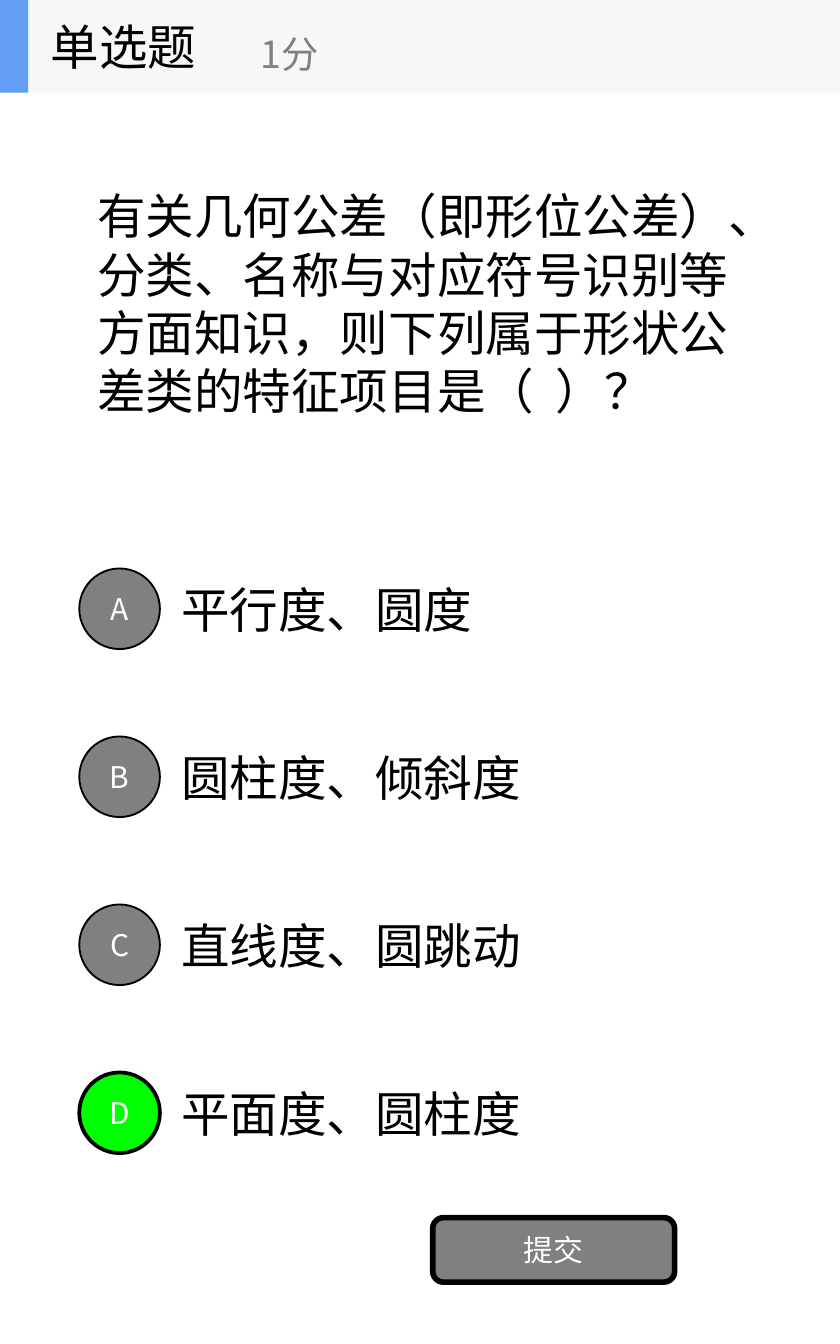
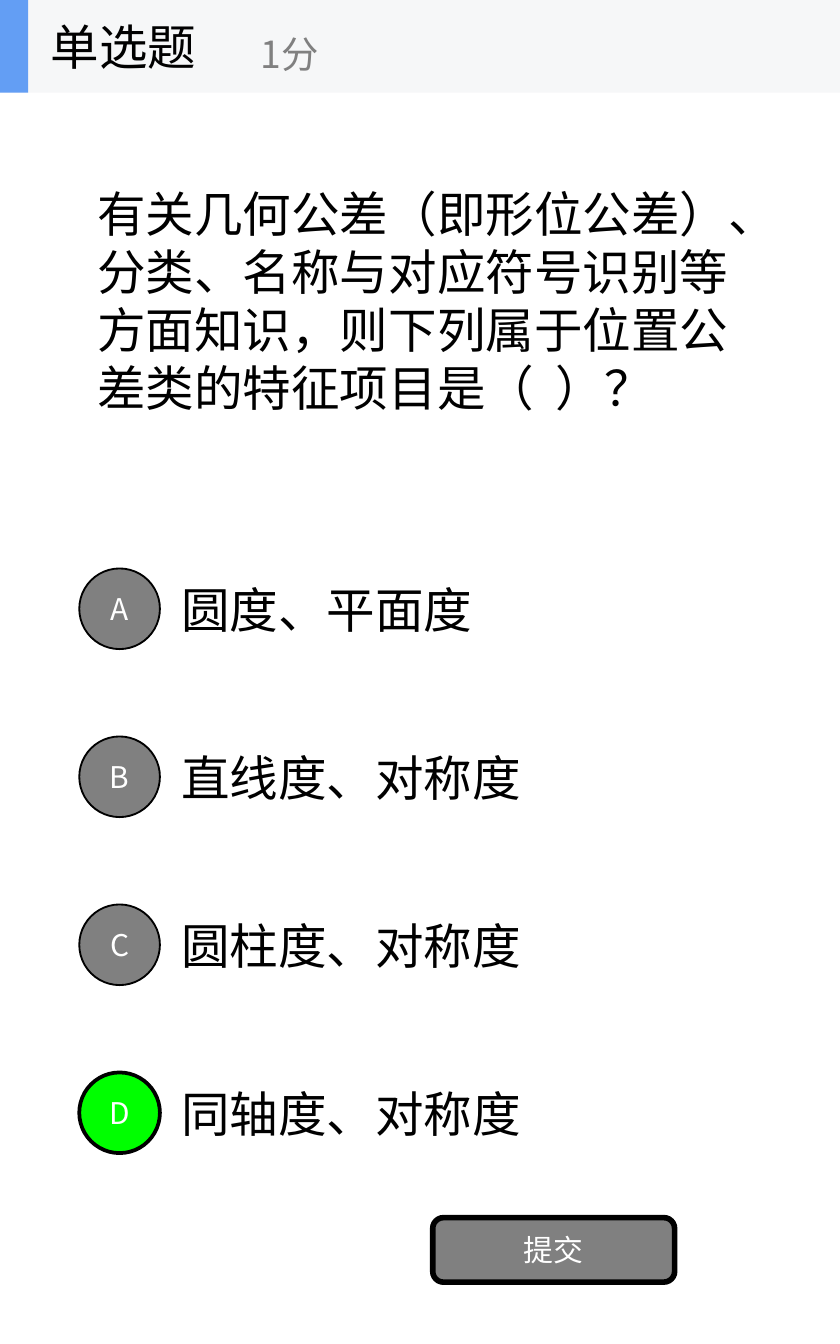
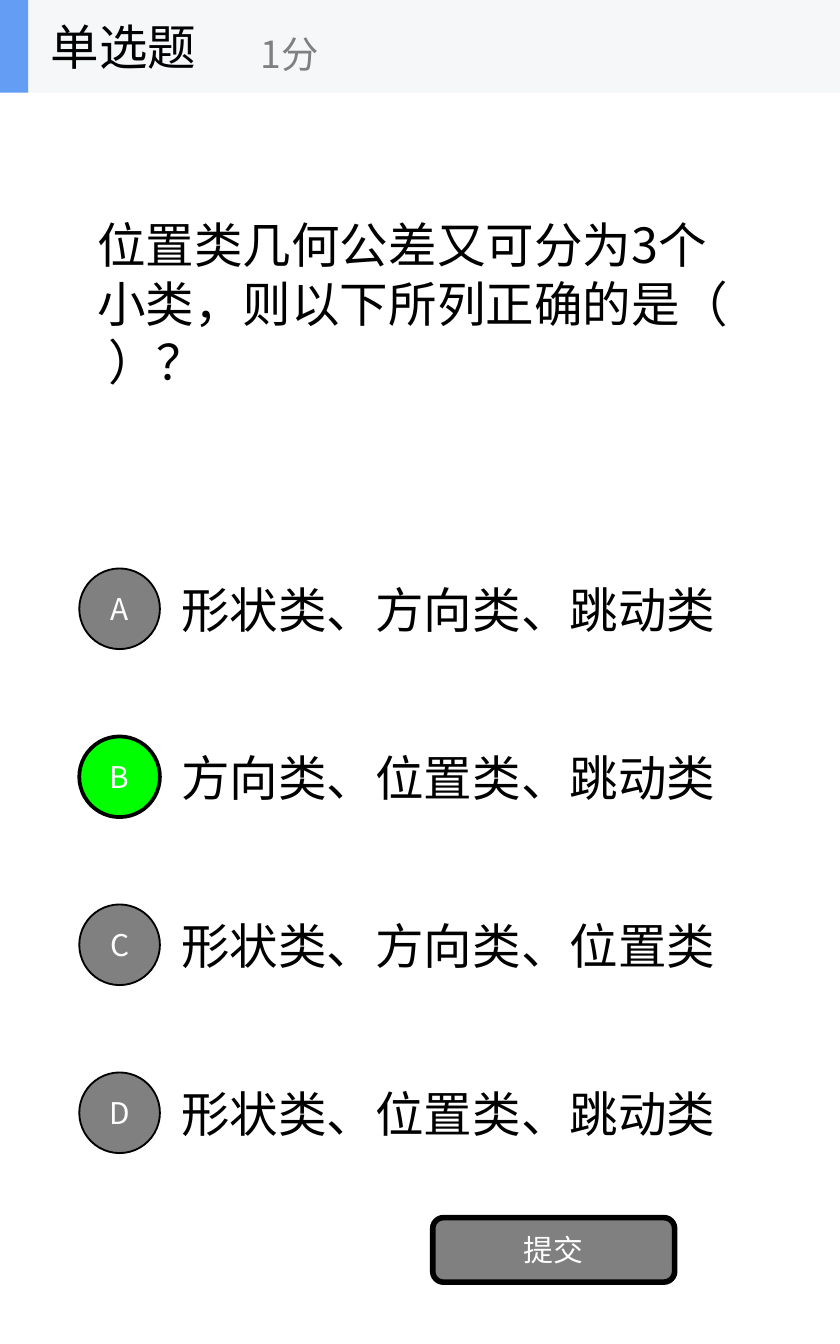
from dataclasses import dataclass

from pptx import Presentation
from pptx.dml.color import RGBColor
from pptx.enum.shapes import MSO_SHAPE
from pptx.enum.text import MSO_ANCHOR, PP_ALIGN
from pptx.oxml.ns import qn
from pptx.util import Inches, Pt

HEADING, POINTS, SUBMIT = "单选题", "1分", "提交"
QUESTIONS = [
    {
        "stem": "有关几何公差（即形位公差）、分类、名称与对应符号识别等方面知识，则下列属于形状公差类的特征项目是（  ）？",
        "options": ["平行度、圆度", "圆柱度、倾斜度", "直线度、圆跳动", "平面度、圆柱度"],
        "answer": "D",
        "top": 0.69,
    },
    {
        "stem": "有关几何公差（即形位公差）、分类、名称与对应符号识别等方面知识，则下列属于位置公差类的特征项目是（  ）？",
        "options": ["圆度、平面度", "直线度、对称度", "圆柱度、对称度", "同轴度、对称度"],
        "answer": "D",
        "top": 0.67,
    },
    {
        "stem": "位置类几何公差又可分为3个小类，则以下所列正确的是（   ）？",
        "options": ["形状类、方向类、跳动类", "方向类、位置类、跳动类",
                    "形状类、方向类、位置类", "形状类、位置类、跳动类"],
        "answer": "B",
        "top": 0.69,
    },
]


@dataclass(frozen=True)
class Theme:
    font: str = "Noto Sans CJK SC"
    ink: str = "000000"
    paper: str = "FFFFFF"
    muted: str = "808080"
    correct: str = "00FF00"
    band: str = "F6F7F8"
    accent: str = "639EF4"
    body: int = 26
    score: int = 20
    label: int = 16


T = Theme()
WIDTH, HEIGHT = 6.25, 10
MARGIN = WIDTH / 10
BAND_H = 0.69
ROW_TOP, ROW_H, ROW_STEP = 4.06, 0.94, HEIGHT / 8
BADGE_X, BADGE = 0.59, 0.6


def write(sp, text, size, color, align=PP_ALIGN.LEFT, wrap=True):
    tf = sp.text_frame
    tf.text = text
    tf.word_wrap = wrap
    tf.vertical_anchor = MSO_ANCHOR.MIDDLE
    p = tf.paragraphs[0]
    p.alignment = align
    for r in p.runs:
        r.font.size = Pt(size)
        r.font.name = T.font
        r.font.color.rgb = RGBColor.from_string(color)
        ea = r.font._element.makeelement(qn("a:ea"), {"typeface": T.font})
        r.font._element.append(ea)


def add_text(shapes, box, text, size=T.body, color=T.ink, wrap=True):
    sp = shapes.add_textbox(*map(Inches, box))
    write(sp, text, size, color, wrap=wrap)


def add_block(shapes, kind, box, fill, line=0, text=""):
    sp = shapes.add_shape(kind, *map(Inches, box))
    sp.shadow.inherit = False
    sp.fill.solid()
    sp.fill.fore_color.rgb = RGBColor.from_string(fill)
    if line:
        sp.line.color.rgb = RGBColor.from_string(T.ink)
        sp.line.width = Pt(line)
    else:
        sp.line.fill.background()
    if text:
        write(sp, text, T.label, T.paper, PP_ALIGN.CENTER)


def add_header(slide):
    shapes = slide.shapes.add_group_shape().shapes
    add_block(shapes, MSO_SHAPE.RECTANGLE, (0, 0, WIDTH, BAND_H), T.band)
    add_block(shapes, MSO_SHAPE.RECTANGLE, (0, 0, 0.21, BAND_H), T.accent)
    add_text(shapes, (0.28, 0, WIDTH / 3, BAND_H), HEADING, wrap=False)
    add_text(shapes, (1.84, 0.12, 2.5, 0.56), POINTS, T.score, T.muted, wrap=False)


def add_question(prs, question):
    slide = prs.slides.add_slide(prs.slide_layouts[6])
    slide.background.fill.solid()
    slide.background.fill.fore_color.rgb = RGBColor.from_string(T.paper)
    shapes = slide.shapes
    add_text(shapes, (MARGIN, question["top"], WIDTH - 2 * MARGIN, HEIGHT / 3.2),
             question["stem"])
    rows = [ROW_TOP + i * ROW_STEP for i in range(len(question["options"]))]
    for top, option in zip(rows, question["options"]):
        add_text(shapes, (2 * MARGIN, top, WIDTH - 3 * MARGIN, ROW_H), option)
    for top, letter in zip(rows, "ABCD"):
        fill, line = (T.correct, 2) if letter == question["answer"] else (T.muted, 1)
        box = (BADGE_X, top + (ROW_H - BADGE) / 2, BADGE, BADGE)
        add_block(shapes, MSO_SHAPE.OVAL, box, fill, line, letter)
    add_block(shapes, MSO_SHAPE.ROUNDED_RECTANGLE, (3.22, 9.06, 1.8, 0.48),
              T.muted, 3, SUBMIT)
    add_header(slide)


def main():
    prs = Presentation()
    prs.slide_width, prs.slide_height = Inches(WIDTH), Inches(HEIGHT)
    for question in QUESTIONS:
        add_question(prs, question)
    prs.save("out.pptx")


if __name__ == "__main__":
    main()
